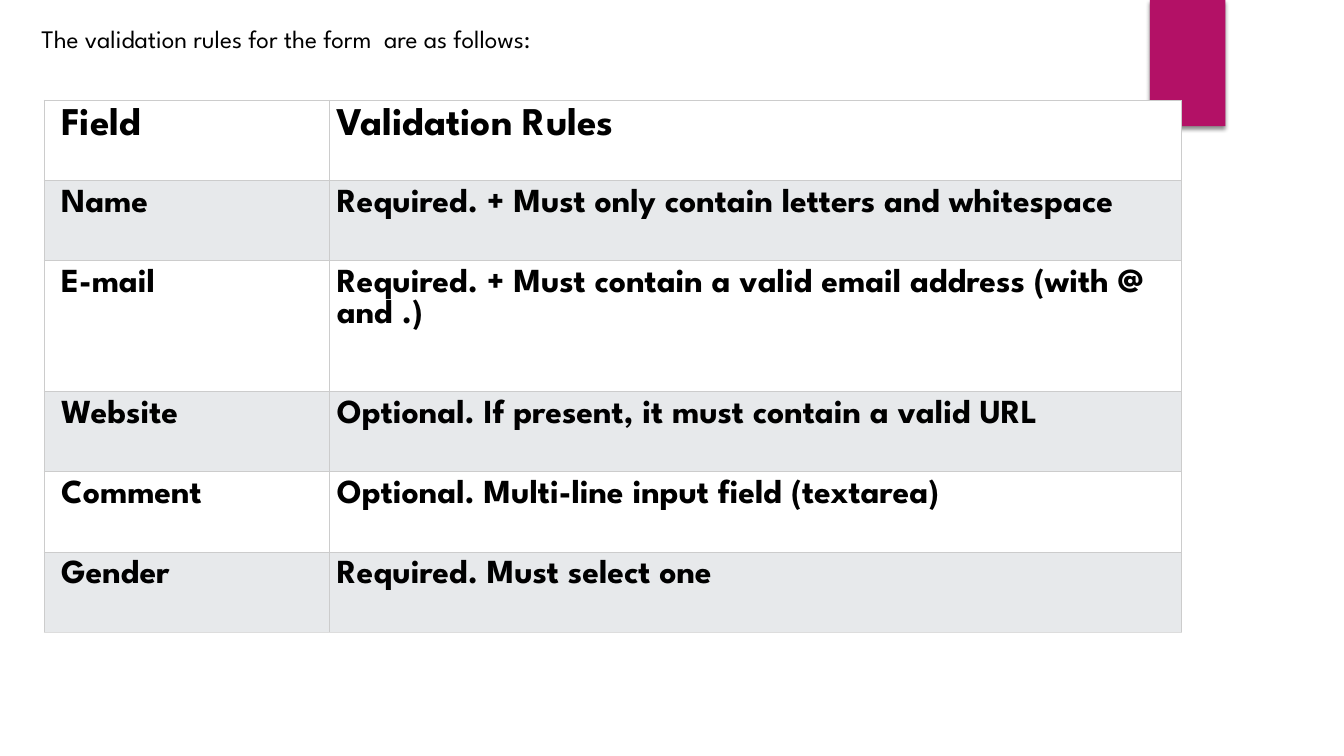
from dataclasses import dataclass
from typing import Any

from pptx import Presentation
from pptx.dml.color import RGBColor
from pptx.enum.shapes import MSO_SHAPE
from pptx.enum.text import MSO_ANCHOR, MSO_AUTO_SIZE, PP_ALIGN
from pptx.oxml import parse_xml
from pptx.oxml.ns import nsdecls
from pptx.util import Cm, Pt

COLORS = {
    "ink": "000000",
    "accent": "B31166",
    "plain": "FFFFFF",
    "band": "E7E9EB",
    "line": "CCCCCC",
    "base": "DDDDDD",
}
FACE = "League Spartan"
WIDTHS = (7.18, 21.48)
INSETS = (0.43, 0.2)


@dataclass(frozen=True)
class Rule:
    field: str
    text: str
    height: float = 2.02
    size: int = 24


RULES = [
    Rule("Field", "Validation Rules", size=28),
    Rule("Name", "Required. + Must only contain letters and whitespace"),
    Rule("E-mail", "Required. + Must contain a valid email address (with @ and .)", height=3.3),
    Rule("Website", "Optional. If present, it must contain a valid URL"),
    Rule("Comment", "Optional. Multi-line input field (textarea)"),
    Rule("Gender", "Required. Must select one"),
]


def get_color(name: str) -> RGBColor:
    return RGBColor.from_string(COLORS[name])


def apply(target: Any, values: dict[str, Any]) -> None:
    for name, value in values.items():
        setattr(target, name, value)


def set_font(frame: Any, size: int, bold: bool) -> None:
    font = frame.paragraphs[0].runs[0].font
    apply(font, {"name": FACE, "size": Pt(size), "bold": bold})
    font.color.rgb = get_color("ink")


def add_ribbon(slide: Any) -> None:
    shape = slide.shapes.add_shape(MSO_SHAPE.RECTANGLE, Cm(28.98), Cm(0), Cm(1.9), Cm(3.18))
    shape.fill.solid()
    shape.fill.fore_color.rgb = get_color("accent")
    shape.line.fill.background()
    shape.element.spPr.append(parse_xml(
        f'<a:effectLst {nsdecls("a")}>'
        f'<a:outerShdw blurRad="{Pt(3)}" dist="{Pt(2)}" dir="5400000" rotWithShape="0">'
        f'<a:srgbClr val="{COLORS["ink"]}"><a:alpha val="45000"/></a:srgbClr>'
        '</a:outerShdw></a:effectLst>'
    ))


def add_title(slide: Any) -> None:
    title = slide.shapes.title
    apply(title, {"left": Cm(0.79), "top": Cm(0.46), "width": Cm(24.64), "height": Cm(1.8)})
    frame = title.text_frame
    frame.text = "The validation rules for the form  are as follows:"
    apply(frame, {
        "word_wrap": True,
        "auto_size": MSO_AUTO_SIZE.NONE,
        "vertical_anchor": MSO_ANCHOR.TOP,
    })
    frame.paragraphs[0].alignment = PP_ALIGN.LEFT
    set_font(frame, 18, False)


def set_edges(cell: Any, last: bool) -> None:
    """Draw the four borders, which must come before the fill in the cell's XML."""
    props = cell._tc.get_or_add_tcPr()
    for place, side in enumerate("LRTB"):
        color = COLORS["base" if last and side == "B" else "line"]
        props.insert(place, parse_xml(
            f'<a:ln{side} {nsdecls("a")} w="{Pt(0.75)}"><a:solidFill>'
            f'<a:srgbClr val="{color}"/></a:solidFill></a:ln{side}>'
        ))


def add_rules(slide: Any, rules: list[Rule]) -> None:
    total = sum(rule.height for rule in rules)
    table = slide.shapes.add_table(
        len(rules), len(WIDTHS), Cm(1.11), Cm(2.53), Cm(sum(WIDTHS)), Cm(total)
    ).table
    for column, width in zip(table.columns, WIDTHS):
        column.width = Cm(width)
    for row, rule in enumerate(rules):
        table.rows[row].height = Cm(rule.height)
        for col, text in enumerate((rule.field, rule.text)):
            cell = table.cell(row, col)
            cell.text = text
            apply(cell, {
                "margin_left": Cm(INSETS[col]),
                "margin_right": Cm(0.2),
                "margin_top": Cm(0.2),
                "margin_bottom": Cm(0.2),
                "vertical_anchor": MSO_ANCHOR.TOP,
            })
            cell.fill.solid()
            cell.fill.fore_color.rgb = get_color("band" if row % 2 else "plain")
            set_font(cell.text_frame, rule.size, True)
            set_edges(cell, row == len(rules) - 1)


def main() -> None:
    deck = Presentation()
    apply(deck, {"slide_width": Cm(33.87), "slide_height": Cm(19.05)})
    slide = deck.slides.add_slide(deck.slide_layouts.get_by_name("Title Only"))
    add_ribbon(slide)
    add_title(slide)
    add_rules(slide, RULES)
    deck.save("out.pptx")


if __name__ == "__main__":
    main()
